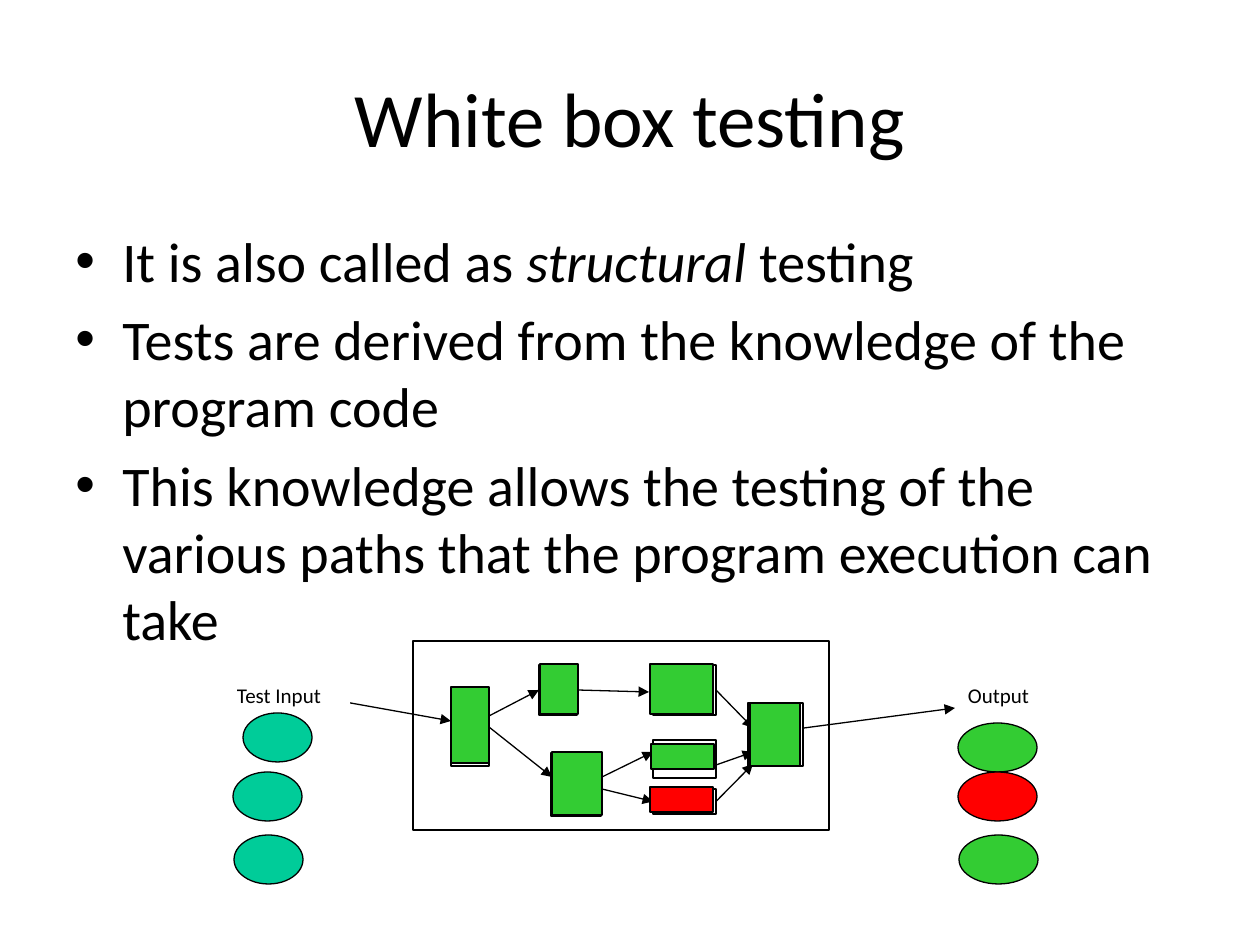
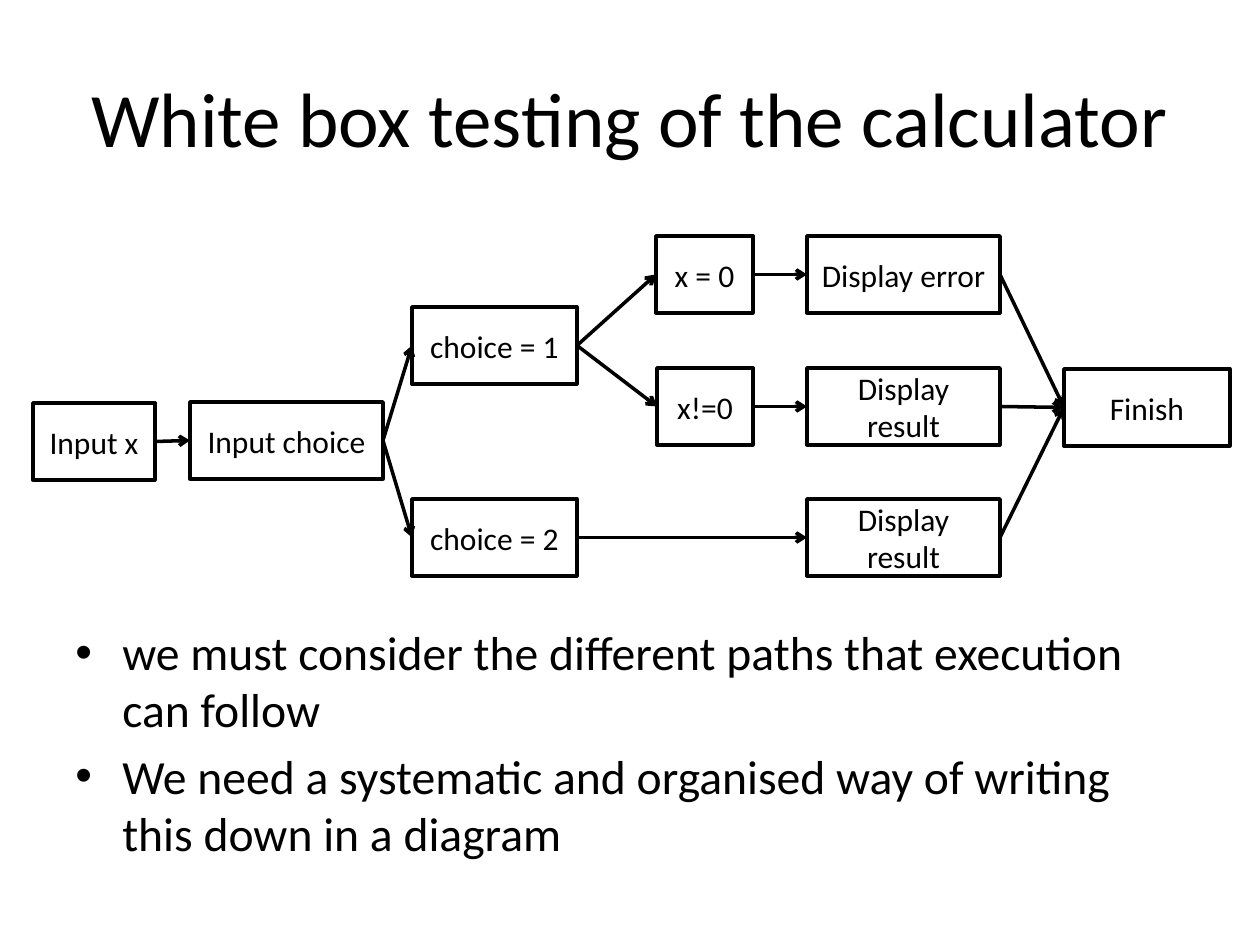
from dataclasses import dataclass
from typing import Any, Union

from lxml import etree
from pptx import Presentation
from pptx.dml.color import RGBColor
from pptx.enum.shapes import MSO_CONNECTOR, MSO_SHAPE
from pptx.enum.text import MSO_ANCHOR, PP_ALIGN
from pptx.oxml.ns import qn
from pptx.util import Emu, Pt

# Enum members, scale and theme
RECT, OVAL = MSO_SHAPE.RECTANGLE, MSO_SHAPE.OVAL
STRAIGHT = MSO_CONNECTOR.STRAIGHT
TOP, MIDDLE = MSO_ANCHOR.TOP, MSO_ANCHOR.MIDDLE
LEFT, CENTER = PP_ALIGN.LEFT, PP_ALIGN.CENTER
LEFT_SIDE, RIGHT_SIDE = 1, 3
PX_PER_INCH = 126

BLACK = RGBColor(0x00, 0x00, 0x00)
WHITE = RGBColor(0xFF, 0xFF, 0xFF)
GREEN = RGBColor(0x33, 0xCC, 0x33)
TEAL = RGBColor(0x00, 0xCC, 0x99)
RED = RGBColor(0xFF, 0x00, 0x00)
FONT = "Calibri"
THIN, THICK = 0.75, 2
NO_INSETS = {"margin_left": 0, "margin_top": 0, "margin_right": 0, "margin_bottom": 0}

Point = tuple[int, int]
Run = tuple[str, bool]


@dataclass
class Box:
    x: int
    y: int
    w: int
    h: int
    fill: RGBColor = WHITE
    kind: Any = RECT
    text: str = ""


@dataclass
class Joint:
    """The middle of a side of a named box."""
    box: str
    side: int


End = Union[Point, Joint]


@dataclass
class Arrow:
    start: End
    end: End


# Shared drawing helpers
def px(n: float) -> Emu:
    return Emu(round(n * 914400 / PX_PER_INCH))


def set_attrs(obj: Any, values: dict[str, Any]) -> None:
    for name, value in values.items():
        setattr(obj, name, value)


def add_run(p: Any, text: str, size: float, italic: bool = False) -> None:
    r = p.add_run()
    r.text = text
    set_attrs(r.font, {"name": FONT, "size": Pt(size), "italic": italic})
    r.font.color.rgb = BLACK


def add_text_box(slide: Any, b: Box, anchor: Any) -> Any:
    sp = slide.shapes.add_textbox(px(b.x), px(b.y), px(b.w), px(b.h))
    tf = sp.text_frame
    set_attrs(tf, {"word_wrap": True, "vertical_anchor": anchor})
    return tf


def add_title(slide: Any, text: str) -> None:
    p = add_text_box(slide, Box(63, 38, 1134, 157), MIDDLE).paragraphs[0]
    p.alignment = CENTER
    add_run(p, text, 44)


def add_bullets(slide: Any, b: Box, items: list[list[Run]], size: float) -> None:
    tf = add_text_box(slide, b, TOP)
    for i, runs in enumerate(items):
        p = tf.add_paragraph() if i else tf.paragraphs[0]
        p.space_before = Pt(round(size * 0.2, 1))
        pPr = p._p.get_or_add_pPr()
        pPr.set("marL", str(px(47)))
        pPr.set("indent", str(-px(47)))
        etree.SubElement(pPr, qn("a:buFont"), typeface="Arial")
        etree.SubElement(pPr, qn("a:buChar"), char="•")
        for text, italic in runs:
            add_run(p, text, size, italic)


def add_box(slide: Any, b: Box, line: float, size: float = 18,
            align: Any = CENTER, anchor: Any = MIDDLE, insets: dict[str, int] | None = None) -> Any:
    sp = slide.shapes.add_shape(b.kind, px(b.x), px(b.y), px(b.w), px(b.h))
    sp.shadow.inherit = False
    sp.fill.solid()
    sp.fill.fore_color.rgb = b.fill
    if line:
        sp.line.color.rgb = BLACK
        sp.line.width = Pt(line)
    else:
        sp.line.fill.background()
    if b.text:
        tf = sp.text_frame
        set_attrs(tf, {"word_wrap": True, "vertical_anchor": anchor, **(insets or {})})
        p = tf.paragraphs[0]
        p.alignment = align
        add_run(p, b.text, size)
    return sp


def add_arrow(slide: Any, a: Arrow, shapes: dict[str, Any], line: float, head: str) -> None:
    ends = [(0, 0) if isinstance(e, Joint) else e for e in (a.start, a.end)]
    cn = slide.shapes.add_connector(STRAIGHT, *(px(v) for point in ends for v in point))
    for e, connect in ((a.start, cn.begin_connect), (a.end, cn.end_connect)):
        if isinstance(e, Joint):
            connect(shapes[e.box], e.side)
    cn.line.color.rgb = BLACK
    cn.line.width = Pt(line)
    spPr = cn._element.spPr
    etree.SubElement(spPr.find(qn("a:ln")), qn("a:tailEnd"), type=head)
    etree.SubElement(spPr, qn("a:effectLst"))


# Slide 1: the program as an open box between test input and output
FRAME = Box(413, 641, 416, 189)
UNITS = {
    "entry": Box(451, 690, 38, 76),
    "upper": Box(539, 665, 38, 50),
    "upper next": Box(653, 665, 63, 50),
    "middle": Box(653, 740, 63, 38),
    "lower": Box(653, 789, 63, 25),
    "exit": Box(753, 703, 50, 63),
}
UNIT_ARROWS = [
    Arrow((345, 702), (451, 721)),
    Arrow((489, 716), Joint("upper", LEFT_SIDE)),
    Arrow(Joint("upper", RIGHT_SIDE), (649, 692)),
    Arrow(Joint("upper next", RIGHT_SIDE), (753, 728)),
    Arrow((804, 728), (955, 708)),
    Arrow((489, 727), (552, 777)),
    Arrow((602, 777), (653, 752)),
    Arrow((716, 765), (753, 752)),
    Arrow((602, 789), Joint("lower", LEFT_SIDE)),
    Arrow(Joint("lower", RIGHT_SIDE), (753, 764)),
]
LABELS = [
    Box(237, 683, 113, 50, text="Test Input"),
    Box(968, 683, 126, 50, text="Output"),
]
RESULTS = [
    Box(451, 687, 38, 76, GREEN),
    Box(540, 664, 38, 50, GREEN),
    Box(650, 664, 63, 50, GREEN),
    Box(551, 753, 50, 63, GREEN),
    Box(650, 787, 63, 25, RED),
    Box(748, 703, 50, 63, RED),
    Box(552, 752, 50, 63, GREEN),
    Box(651, 744, 63, 25, GREEN),
    Box(750, 703, 50, 63, GREEN),
]
INPUTS = [Box(x, y, 69, 49, TEAL, OVAL) for x, y in ((243, 713), (233, 772), (234, 835))]
OUTPUTS = [Box(x, y, 79, 49, fill, OVAL)
           for x, y, fill in ((958, 723, GREEN), (958, 772, RED), (959, 835, GREEN))]


def build_overview(slide: Any) -> None:
    add_title(slide, "White box testing")
    add_bullets(slide, Box(63, 220, 1134, 624), [
        [("It is also called as ", False), ("structural", True), (" testing", False)],
        [("Tests are derived from the knowledge of the program code", False)],
        [("This knowledge allows the testing of the various paths "
          "that the program execution can take", False)],
    ], 32)
    add_box(slide, FRAME, THIN)
    shapes = {name: add_box(slide, b, THIN) for name, b in UNITS.items()}
    for a in UNIT_ARROWS:
        add_arrow(slide, a, shapes, THIN, "triangle")
    for b in LABELS:
        add_box(slide, b, 0, 12, LEFT, TOP, NO_INSETS)
    for b in RESULTS + INPUTS + OUTPUTS:
        add_box(slide, b, THIN)


# Slide 2: flow of the calculator
STEP_H = 77
ROW_1, ROW_2, ROW_3 = 236, 368, 499
STEPS = {
    "input x": Box(33, 403, 122, STEP_H, text="Input x"),
    "input choice": Box(190, 402, 193, STEP_H, text="Input choice"),
    "choice 1": Box(412, 307, 165, STEP_H, text="choice = 1"),
    "choice 2": Box(412, ROW_3, 165, STEP_H, text="choice = 2"),
    "zero": Box(656, ROW_1, 97, STEP_H, text="x = 0"),
    "nonzero": Box(657, ROW_2, 96, STEP_H, text="x!=0"),
    "error": Box(807, ROW_1, 193, STEP_H, text="Display error"),
    "result 1": Box(807, ROW_2, 193, STEP_H, text="Display result"),
    "result 2": Box(807, ROW_3, 193, STEP_H, text="Display result"),
    "finish": Box(1064, 369, 166, STEP_H, text="Finish"),
}
FLOW = [
    ("input x", "input choice"),
    ("input choice", "choice 1"), ("input choice", "choice 2"),
    ("choice 1", "zero"), ("choice 1", "nonzero"),
    ("zero", "error"), ("nonzero", "result 1"), ("choice 2", "result 2"),
    ("error", "finish"), ("result 1", "finish"), ("result 2", "finish"),
]


def build_calculator(slide: Any) -> None:
    add_title(slide, "White box testing of the calculator")
    add_bullets(slide, Box(63, 617, 1134, 227), [
        [("we must consider the different paths that execution can follow", False)],
        [("We need a systematic and organised way of writing this down in a diagram", False)],
    ], 27.2)
    shapes = {name: add_box(slide, b, THICK) for name, b in STEPS.items()}
    for source, target in FLOW:
        a = Arrow(Joint(source, RIGHT_SIDE), Joint(target, LEFT_SIDE))
        add_arrow(slide, a, shapes, THICK, "arrow")


def main() -> None:
    prs = Presentation()
    set_attrs(prs, {"slide_width": px(1260), "slide_height": px(945)})
    for build in (build_overview, build_calculator):
        build(prs.slides.add_slide(prs.slide_layouts[6]))
    prs.save("out.pptx")


if __name__ == "__main__":
    main()
